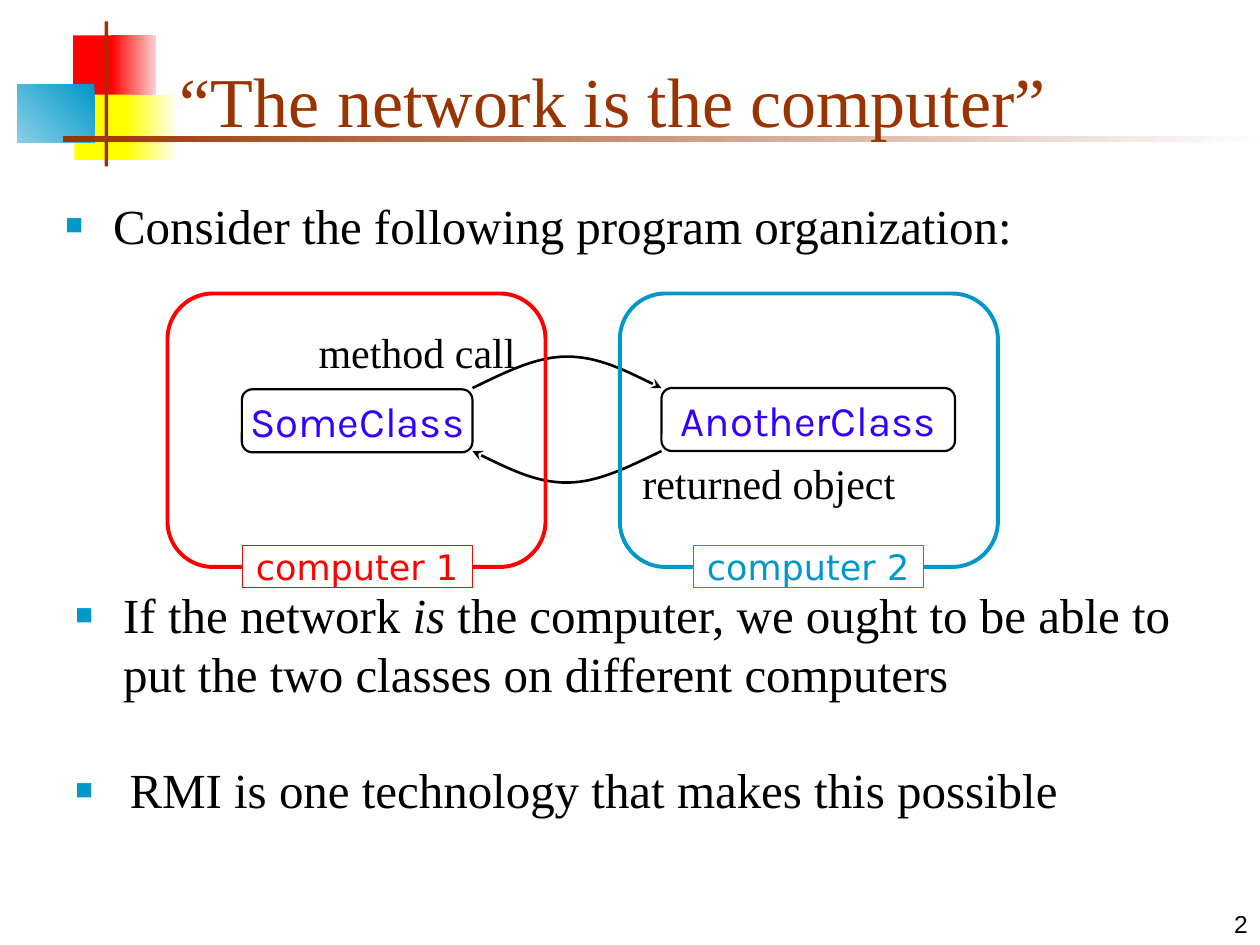
from typing import NamedTuple, Optional

from lxml import etree
from pptx import Presentation
from pptx.dml.color import RGBColor
from pptx.enum import shapes, text
from pptx.oxml import ns
from pptx.util import Inches, Pt

SERIF = "Times New Roman"
BROWN, RED, YELLOW, BLUE = "993300", "FF0000", "FFFF00", "0098CB"
BLACK, WHITE, VIOLET = "000000", "FFFFFF", "3300FF"
RECT = shapes.MSO_SHAPE.RECTANGLE
ROUND = shapes.MSO_SHAPE.ROUNDED_RECTANGLE
LEFT, CENTER, RIGHT = text.PP_ALIGN.LEFT, text.PP_ALIGN.CENTER, text.PP_ALIGN.RIGHT
TOP, MIDDLE, BOTTOM = text.MSO_ANCHOR.TOP, text.MSO_ANCHOR.MIDDLE, text.MSO_ANCHOR.BOTTOM


class Box(NamedTuple):
    left: float
    top: float
    width: float
    height: float


class Style(NamedTuple):
    size: float
    color: str = BLACK
    font: str = SERIF
    align: text.PP_ALIGN = LEFT
    anchor: text.MSO_ANCHOR = TOP


class Accent(NamedTuple):
    box: Box
    color: str
    end: Optional[str] = None
    angle: float = 0  # clockwise


class Computer(NamedTuple):
    name: str
    color: str
    frame: Box
    tag: Box


class Bullet(NamedTuple):
    box: Box
    runs: list[tuple[str, bool]]  # wording, italic
    indent: float = 0.38


def rgb(color: str) -> RGBColor:
    return RGBColor.from_string(color)


def write(s, runs: list[tuple[str, bool]], style: Style, wrap: bool = True):
    tf = s.text_frame
    tf.word_wrap = wrap
    tf.vertical_anchor = style.anchor
    p = tf.paragraphs[0]
    p.alignment = style.align
    for wording, italic in runs:
        r = p.add_run()
        r.text = wording
        r.font.name, r.font.size = style.font, Pt(style.size)
        r.font.italic = italic
        r.font.color.rgb = rgb(style.color)
    return p


def add_text(slide, box: Box, runs: list[tuple[str, bool]], style: Style):
    return write(slide.shapes.add_textbox(*map(Inches, box)), runs, style)


def add_box(slide, kind, box: Box, fill: Optional[str] = None,
            line: Optional[str] = None, weight: float = 1):
    s = slide.shapes.add_shape(kind, *map(Inches, box))
    s.shadow.inherit = False
    if fill:
        s.fill.solid()
        s.fill.fore_color.rgb = rgb(fill)
    else:
        s.fill.background()
    if line:
        s.line.color.rgb = rgb(line)
        s.line.width = Pt(weight)
    else:
        s.line.fill.background()
    return s


def add_accent(slide, accent: Accent) -> None:
    s = add_box(slide, RECT, accent.box, accent.color)
    if accent.end:
        s.fill.gradient()
        s.fill.gradient_angle = (360 - accent.angle) % 360
        for stop, color in zip(s.fill.gradient_stops, (accent.color, accent.end)):
            stop.color.rgb = rgb(color)


def add_bullet(slide, bullet: Bullet) -> None:
    p = add_text(slide, bullet.box, bullet.runs, Style(28))
    pPr = p._p.get_or_add_pPr()
    pPr.set("marL", str(Inches(bullet.indent)))
    pPr.set("indent", str(-Inches(bullet.indent)))
    color = etree.SubElement(pPr, ns.qn("a:buClr"))
    etree.SubElement(color, ns.qn("a:srgbClr"), val=BLUE)
    etree.SubElement(pPr, ns.qn("a:buSzPct"), val="60000")
    etree.SubElement(pPr, ns.qn("a:buFont"), typeface="Arial")
    etree.SubElement(pPr, ns.qn("a:buChar"), char="■")


def add_curved_arrow(slide, points: list[tuple[float, float]]) -> None:
    """Draw a start point followed by three points per Bézier segment."""
    start, *rest = [(Inches(x), Inches(y)) for x, y in points]
    builder = slide.shapes.build_freeform(*start, scale=1.0)
    builder.add_line_segments(rest, close=False)
    s = builder.convert_to_shape()
    s.shadow.inherit = False
    s.fill.background()
    s.line.color.rgb = rgb(BLACK)
    s.line.width = Pt(1.5)
    etree.SubElement(s.line._get_or_add_ln(), ns.qn("a:tailEnd"), type="stealth")
    # Turn each three line segments into one cubic curve
    lines = list(s._element.iter(ns.qn("a:lnTo")))
    outline = lines[0].getparent()
    for i in range(0, len(lines), 3):
        curve = etree.SubElement(outline, ns.qn("a:cubicBezTo"))
        for line in lines[i:i + 3]:
            curve.append(line[0])
            outline.remove(line)


ACCENTS = [
    Accent(Box(0.58, 0.28, 0.35, 0.52), RED),
    Accent(Box(0.88, 0.28, 0.36, 0.52), "FED0D0", RED, 180),
    Accent(Box(0.59, 0.75, 0.46, 0.52), YELLOW),
    Accent(Box(1, 0.75, 0.4, 0.52), "FEFEEF", YELLOW, 180),
    Accent(Box(0.14, 0.67, 0.61, 0.46), BLUE, "8ACFE6", 135),
    Accent(Box(0.83, 0.17, 0.03, 1.15), BROWN),
    Accent(Box(0.5, 1.08, 9.5, 0.05), "FEFEFE", BROWN, 180),
]
BULLETS = [
    Bullet(Box(0.42, 1.5, 9.17, 0.6),
           [("Consider the following program organization:", False)]),
    Bullet(Box(0.5, 4.59, 9.17, 1.21),
           [("If the network ", False), ("is", True),
            (" the computer, we ought to be able to put the two classes "
             "on different computers", False)]),
    Bullet(Box(0.5, 5.98, 9, 0.57),
           [("RMI is one technology that makes this possible", False)], 0.43),
]
CLASSES = [
    ("SomeClass", Box(1.92, 3.09, 1.83, 0.5)),
    ("AnotherClass", Box(5.25, 3.08, 2.33, 0.5)),
]
LABELS = [
    ("method call", Box(2.43, 2.54, 1.83, 0.5)),
    ("returned object", Box(5, 3.58, 2.33, 0.5)),
]
CALL = [(3.75, 3.08), (4, 2.96), (4.25, 2.83), (4.5, 2.83),
        (4.75, 2.83), (5, 2.96), (5.25, 3.08)]
# The return path is the call turned half way round the diagram's centre
RETURN = [(9 - x, 6.66 - y) for x, y in CALL]
COMPUTERS = [
    Computer("computer 1", RED, Box(1.33, 2.33, 3, 2.17), Box(1.92, 4.33, 1.83, 0.33)),
    Computer("computer 2", BLUE, Box(4.92, 2.33, 3, 2.17), Box(5.5, 4.33, 1.83, 0.33)),
]


def main() -> None:
    prs = Presentation()
    prs.slide_width, prs.slide_height = Inches(10), Inches(7.5)
    slide = prs.slides.add_slide(prs.slide_layouts[6])

    # Corner decoration, title and bullets
    for accent in ACCENTS:
        add_accent(slide, accent)
    add_text(slide, Box(1.33, 0.25, 8.52, 0.92),
             [("“The network is the computer”", False)],
             Style(40, BROWN, anchor=BOTTOM))
    for bullet in BULLETS:
        add_bullet(slide, bullet)

    # Classes and the messages between them
    for name, box in CLASSES:
        s = add_box(slide, ROUND, box, line=BLACK, weight=1.25)
        write(s, [(name, False)], Style(24, VIOLET, "Karla", CENTER, MIDDLE), wrap=False)
    for points in (CALL, RETURN):
        add_curved_arrow(slide, points)
    for wording, box in LABELS:
        add_text(slide, box, [(wording, False)], Style(24))

    # Computers around the classes, with name tags on top
    for computer in COMPUTERS:
        add_box(slide, ROUND, computer.frame, line=computer.color, weight=2.25)
    for computer in COMPUTERS:
        s = add_box(slide, RECT, computer.tag, WHITE, computer.color, 0.25)
        write(s, [(computer.name, False)],
              Style(20, computer.color, "DejaVu Sans", CENTER, MIDDLE), wrap=False)

    # Slide number
    add_text(slide, Box(7.92, 7, 2.08, 0.5), [("2", False)],
             Style(14, font="Arial", align=RIGHT, anchor=BOTTOM))
    prs.save("out.pptx")


if __name__ == "__main__":
    main()
